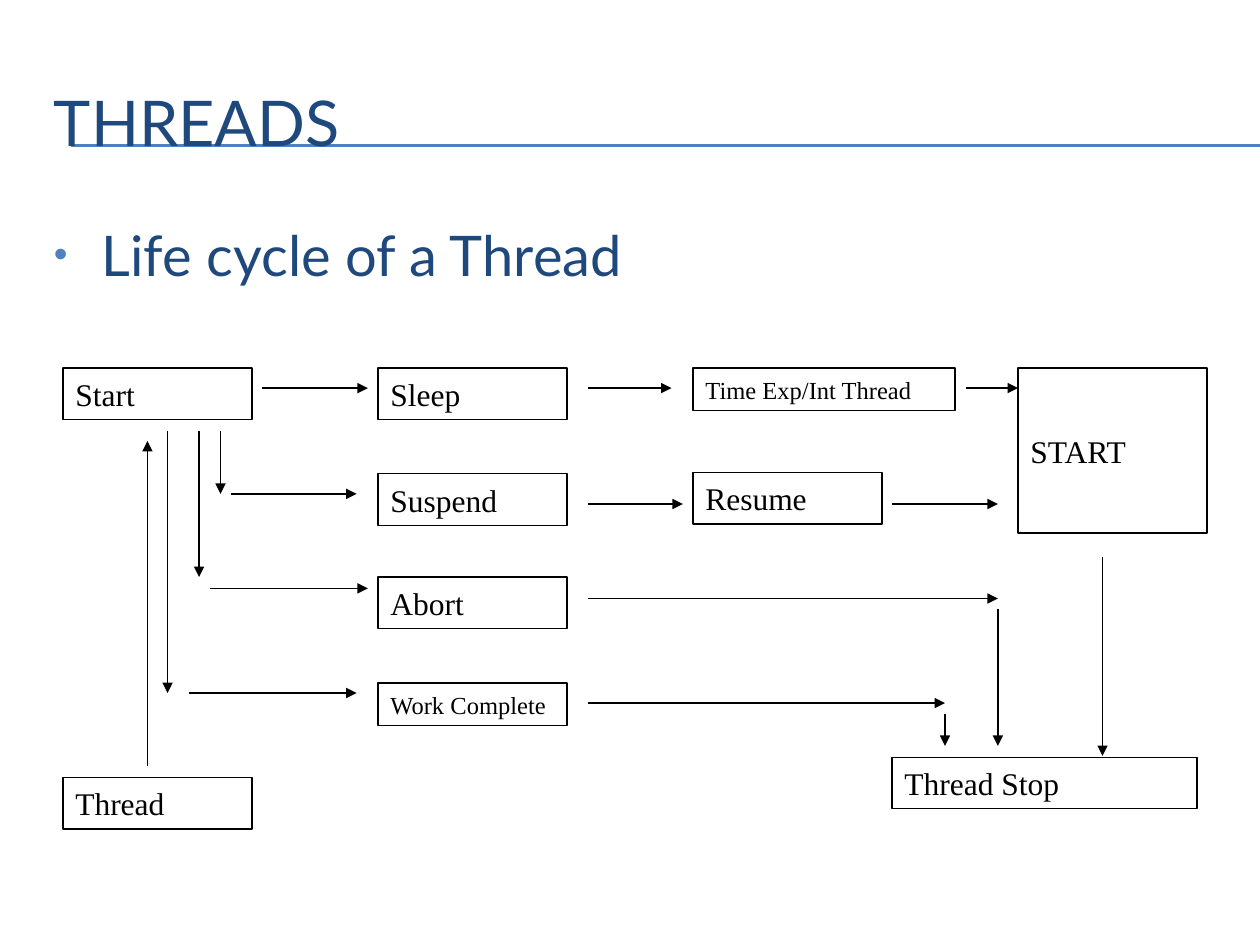
from lxml import etree
from pptx import Presentation
from pptx import util as u
from pptx.dml.color import RGBColor
from pptx.enum import shapes, text
from pptx.oxml.ns import qn

THEME = {
    "navy": "1F497D", "blue": "4F81BD", "ink": "000000",
    "head_font": "Lato", "box_font": "Times New Roman",
    "title": 36, "body": 32, "box": 18, "small": 14, "line": 0.75,
}

TITLE = ("THREADS", (0.33, 0.5, 9.5, 0.92))
BULLET = ("Life cycle of a Thread", (0.33, 1.7, 9.5, 4.95))
RULES_Y = (1.15, 1.16)

# label, left, top, width, height, type size
W, H, H_SMALL = 1.5, 0.41, 0.34
BOXES = [
    ("Thread", 0.5, 6.17, W, H, "box"),
    ("Start", 0.5, 2.92, W, H, "box"),
    ("Sleep", 3, 2.92, W, H, "box"),
    ("Time Exp/Int Thread", 5.5, 2.92, 2.08, H_SMALL, "small"),
    ("START", 8.08, 2.92, W, 1.31, "box"),
    ("Suspend", 3, 3.76, W, H, "box"),
    ("Abort", 3, 4.58, W, H, "box"),
    ("Work Complete", 3, 5.42, W, H_SMALL, "small"),
    ("Resume", 5.5, 3.75, W, H, "box"),
    ("Thread Stop", 7.08, 6.01, 2.42, H, "box"),
]

# y, then (from x, to x) for each arrow on that level
ACROSS = [
    (3.08, [(2.08, 2.92), (4.67, 5.33), (7.67, 8.08)]),
    (3.92, [(1.83, 2.83)]),
    (4, [(4.67, 5.42), (7.08, 7.92)]),
    (4.67, [(1.67, 2.92)]),
    (4.75, [(4.67, 7.92)]),
    (5.5, [(1.5, 2.83)]),
    (5.58, [(4.67, 7.5)]),
]
# x, from y, to y
UPRIGHT = [
    (1.17, 6.08, 3.5), (1.33, 3.42, 5.5), (1.58, 3.42, 4.58),
    (1.75, 3.42, 3.92), (7.5, 5.67, 5.92), (7.92, 4.83, 5.92),
    (8.75, 4.42, 6),
]


def rgb(name):
    return RGBColor.from_string(THEME[name])


def write(sp, words, font, size, color, anchor):
    tf = sp.text_frame
    tf.word_wrap = True
    tf.vertical_anchor = anchor
    tf.text = words
    p = tf.paragraphs[0]
    p.alignment = text.PP_ALIGN.LEFT
    f = p.runs[0].font
    f.name, f.size, f.color.rgb = THEME[font], u.Pt(THEME[size]), rgb(color)
    return p


def add_text(s, words, at, size, anchor):
    sp = s.shapes.add_textbox(*map(u.Inches, at))
    return write(sp, words, "head_font", size, "navy", anchor)


def add_bullet(p):
    pPr = p._p.get_or_add_pPr()
    pPr.set("marL", str(u.Inches(0.38)))
    pPr.set("indent", str(-u.Inches(0.38)))
    clr = etree.SubElement(pPr, qn("a:buClr"))
    etree.SubElement(clr, qn("a:srgbClr"), val=THEME["blue"])
    etree.SubElement(pPr, qn("a:buSzPct"), val="70000")
    etree.SubElement(pPr, qn("a:buFont"), typeface="Arial")
    etree.SubElement(pPr, qn("a:buChar"), char="•")


def add_box(s, label, x, y, w, h, size):
    sp = s.shapes.add_shape(shapes.MSO_SHAPE.RECTANGLE, *map(u.Inches, (x, y, w, h)))
    sp.shadow.inherit = False
    sp.fill.background()
    sp.line.color.rgb = rgb("ink")
    sp.line.width = u.Pt(THEME["line"])
    write(sp, label, "box_font", size, "ink", text.MSO_ANCHOR.MIDDLE)


def add_line(s, x1, y1, x2, y2, color="ink", arrow=True):
    c = s.shapes.add_connector(shapes.MSO_CONNECTOR.STRAIGHT,
                               *map(u.Inches, (x1, y1, x2, y2)))
    c.line.color.rgb = rgb(color)
    c.line.width = u.Pt(THEME["line"])
    if arrow:
        etree.SubElement(c.line._get_or_add_ln(), qn("a:tailEnd"), type="triangle")
    etree.SubElement(c._element.spPr, qn("a:effectLst"))


def main():
    prs = Presentation()
    prs.slide_width, prs.slide_height = u.Inches(10), u.Inches(7.5)
    s = prs.slides.add_slide(prs.slide_layouts[6])

    for y in RULES_Y:
        add_line(s, 0.56, y, 10, y, "blue", arrow=False)
    add_text(s, *TITLE, "title", text.MSO_ANCHOR.MIDDLE)
    add_bullet(add_text(s, *BULLET, "body", text.MSO_ANCHOR.TOP))
    for box in BOXES:
        add_box(s, *box)
    for y, spans in ACROSS:
        for x1, x2 in spans:
            add_line(s, x1, y, x2, y)
    for x, y1, y2 in UPRIGHT:
        add_line(s, x, y1, x, y2)

    prs.save("out.pptx")


if __name__ == "__main__":
    main()
